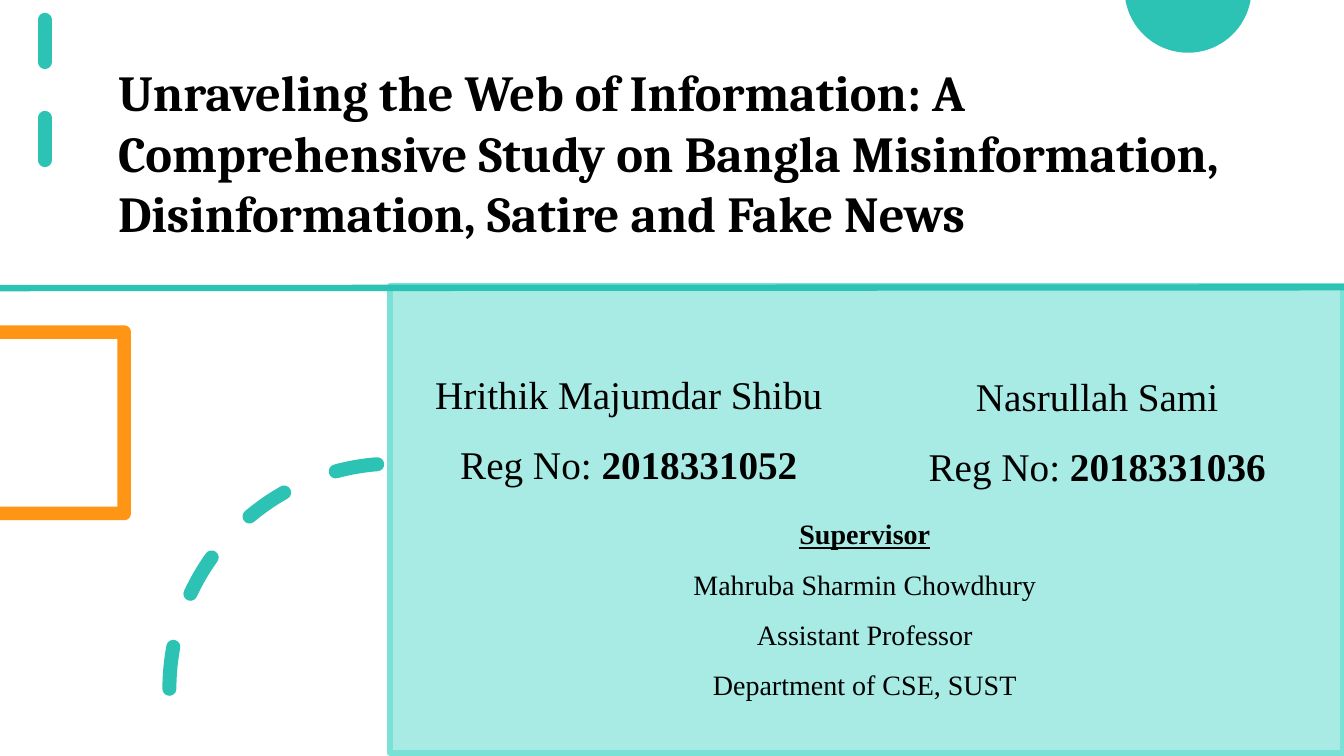
"""Build the title slide of a study on Bangla misinformation."""
import math
from dataclasses import dataclass

from lxml import etree
from pptx import Presentation
from pptx import util as u
from pptx.dml.color import RGBColor
from pptx.enum import dml, shapes, text
from pptx.oxml.ns import qn


@dataclass(frozen=True)
class Theme:
    teal: RGBColor = RGBColor.from_string("2CC3B4")
    panel: RGBColor = RGBColor.from_string("A7EBE4")
    panel_edge: RGBColor = RGBColor.from_string("7AE1D7")
    orange: RGBColor = RGBColor.from_string("FF9514")
    ink: RGBColor = RGBColor.from_string("000000")
    title_font: str = "Cambria"
    body_font: str = "Times New Roman"
    title_size: u.Pt = u.Pt(36)
    author_size: u.Pt = u.Pt(28)
    supervisor_size: u.Pt = u.Pt(20)
    rule_width: u.Pt = u.Pt(4.5)
    dash_width: u.Pt = u.Pt(10)


def arc_points(center_x, center_y, radius, start, end, steps):
    """Return points along a circular arc, with angles in degrees."""
    angles = [math.radians(start + (end - start) * i / steps) for i in range(steps + 1)]
    return [(center_x + radius * math.cos(a), center_y + radius * math.sin(a)) for a in angles]


def add_lines(frame, lines, size):
    """Write centred lines, each a list of (text, bold, underline) runs."""
    frame.word_wrap = True
    for index, runs in enumerate(lines):
        paragraph = frame.paragraphs[0] if index == 0 else frame.add_paragraph()
        paragraph.alignment = text.PP_ALIGN.CENTER
        paragraph.line_spacing = 1.5
        paragraph.font.name = theme.body_font
        paragraph.font.size = size
        paragraph.font.color.rgb = theme.ink
        for words, bold, underline in runs:
            run = paragraph.add_run()
            run.text = words
            run.font.name = theme.body_font
            run.font.size = size
            run.font.color.rgb = theme.ink
            run.font.bold = bold
            run.font.underline = underline


theme = Theme()
presentation = Presentation()
presentation.slide_width = u.Cm(33.87)
presentation.slide_height = u.Cm(19.05)
slide = presentation.slides.add_slide(presentation.slide_layouts[5])

title = slide.shapes.title
title.left, title.top, title.width, title.height = u.Cm(2.72), u.Cm(1.42), u.Cm(30.1), u.Cm(4.88)
title.text_frame.text = (
    "Unraveling the Web of Information: A Comprehensive Study on Bangla "
    "Misinformation, Disinformation, Satire and Fake News"
)
title.text_frame.word_wrap = True
title.text_frame.auto_size = text.MSO_AUTO_SIZE.NONE
title.text_frame.vertical_anchor = text.MSO_ANCHOR.TOP
heading = title.text_frame.paragraphs[0]
heading.alignment = text.PP_ALIGN.LEFT
heading.font.name = theme.title_font
heading.font.size = theme.title_size
heading.font.bold = True
heading.font.color.rgb = theme.ink

half_circle = arc_points(29.94, -0.27, 1.6, 9.7, 170.3, 40)
frame_outline = [
    (0, 8.2),
    *arc_points(3.13, 8.37, 0.17, -90, 0, 6),
    *arc_points(3.13, 12.94, 0.17, 0, 90, 6),
    (0, 13.11), (0, 12.77), (2.96, 12.77), (2.96, 8.54), (0, 8.54),
]
for outline, color in ((half_circle, theme.teal), (frame_outline, theme.orange)):
    points = [(u.Cm(x), u.Cm(y)) for x, y in outline]
    builder = slide.shapes.build_freeform(*points[0], scale=1.0)
    builder.add_line_segments(points[1:], close=True)
    shape = builder.convert_to_shape()
    shape.shadow.inherit = False
    shape.fill.solid()
    shape.fill.fore_color.rgb = color
    shape.line.fill.background()

arc = slide.shapes.add_shape(
    shapes.MSO_SHAPE.ARC, u.Cm(4.27), u.Cm(11.68), u.Cm(11.35), u.Cm(11.35)
)
arc.rotation = 270
arc.shadow.inherit = False
arc.fill.background()

panel = slide.shapes.add_shape(
    shapes.MSO_SHAPE.RECTANGLE, u.Cm(9.83), u.Cm(7.21), u.Cm(24.03), u.Cm(11.76)
)
panel.shadow.inherit = False
panel.fill.solid()
panel.fill.fore_color.rgb = theme.panel
panel.line.color.rgb = theme.panel_edge
panel.line.width = theme.rule_width

straight = shapes.MSO_CONNECTOR.STRAIGHT
dashes = slide.shapes.add_connector(straight, u.Cm(1.13), u.Cm(0.5), u.Cm(1.13), u.Cm(4.95))
rule = slide.shapes.add_connector(straight, u.Cm(0), u.Cm(7.26), u.Cm(33.87), u.Cm(7.24))
for stroke, width in ((arc, theme.dash_width), (dashes, theme.dash_width), (rule, theme.rule_width)):
    stroke.line.color.rgb = theme.teal
    stroke.line.width = width
for connector in (dashes, rule):
    etree.SubElement(connector._element.spPr, qn("a:effectLst"))
for dashed in (arc, dashes):
    dashed.line.dash_style = dml.MSO_LINE.DASH
    dashed._element.spPr.find(qn("a:ln")).set("cap", "rnd")

authors = (
    ("Hrithik Majumdar Shibu", "2018331052", 9.7, 8.61, 12.29),
    ("Nasrullah Sami", "2018331036", 21.72, 8.66, 11.86),
)
for name, number, left, top, width in authors:
    box = slide.shapes.add_textbox(u.Cm(left), u.Cm(top), u.Cm(width), u.Cm(3.68))
    lines = [[(name, False, False)], [("Reg No: ", False, False), (number, True, False)]]
    add_lines(box.text_frame, lines, theme.author_size)

box = slide.shapes.add_textbox(u.Cm(9.83), u.Cm(11.84), u.Cm(23.93), u.Cm(5.92))
box.text_frame.margin_top = u.Cm(0.76)
details = ("Mahruba Sharmin Chowdhury", "Assistant Professor", "Department of CSE, SUST")
lines = [[("Supervisor", True, True)], *([(detail, False, False)] for detail in details)]
add_lines(box.text_frame, lines, theme.supervisor_size)

presentation.save("out.pptx")
